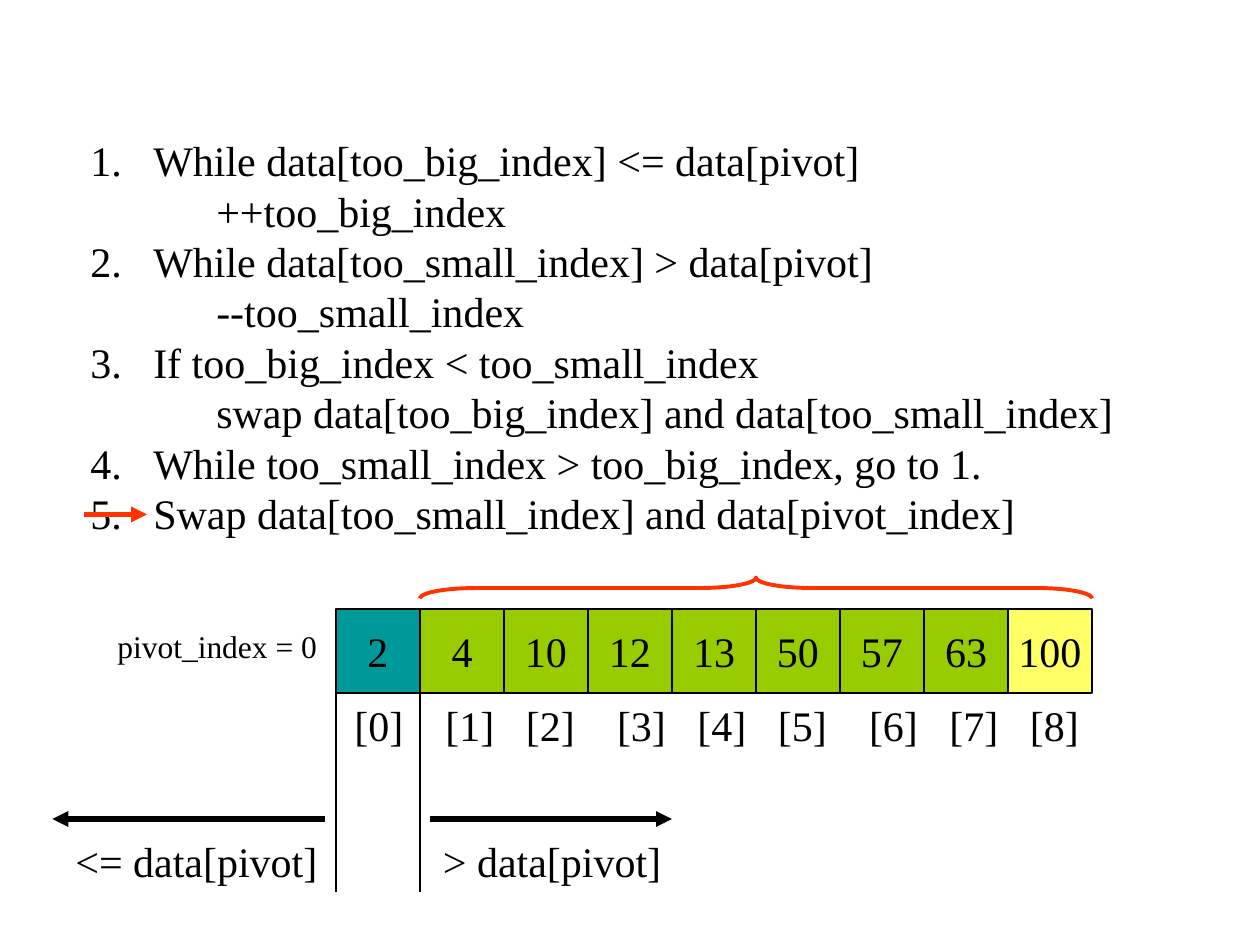
"""Builds a quicksort partition slide: the steps, the array and its split."""
from itertools import accumulate

from lxml import etree
from pptx import Presentation
from pptx.dml.color import RGBColor
from pptx.enum.shapes import MSO_CONNECTOR, MSO_SHAPE
from pptx.enum.text import MSO_ANCHOR, MSO_AUTO_SIZE, PP_ALIGN
from pptx.oxml.ns import qn
from pptx.util import Pt

STRAIGHT = MSO_CONNECTOR.STRAIGHT
RECTANGLE = MSO_SHAPE.RECTANGLE
BRACE = MSO_SHAPE.LEFT_BRACE
MIDDLE = MSO_ANCHOR.MIDDLE
CENTER = PP_ALIGN.CENTER
GROW = MSO_AUTO_SIZE.SHAPE_TO_FIT_TEXT

COLORS = {"ink": "000000", "accent": "FF3300", "pivot": "009999",
          "sorted": "99CC00", "last": "FFFF66"}
FONT = "Times New Roman"
LEADING = 1.2
CELL, ARRAY_LEFT, ARRAY_TOP = 48, 192, 348
VALUES = [2, 4, 10, 12, 13, 50, 57, 63, 100]
LABEL_GAPS = [52, 46, 52, 46, 46, 52, 46, 46]
STEPS = [
    (0, "While data[too_big_index] <= data[pivot]"),
    (1, "++too_big_index"),
    (0, "While data[too_small_index] > data[pivot]"),
    (1, "--too_small_index"),
    (0, "If too_big_index < too_small_index"),
    (1, "swap data[too_big_index] and data[too_small_index]"),
    (0, "While too_small_index > too_big_index, go to 1."),
    (0, "Swap data[too_small_index] and data[pivot_index]"),
]


def color(name):
    """Return the named colour."""
    return RGBColor.from_string(COLORS[name])


def apply(target, **values):
    """Set every given attribute on the target."""
    for name, value in values.items():
        setattr(target, name, value)


def write(para, text, size=24):
    """Put text in a paragraph in the slide's font."""
    para.line_spacing = Pt(size * LEADING)
    span = para.add_run()
    span.text = text
    apply(span.font, name=FONT, size=Pt(size))
    span.font.color.rgb = color("ink")


def add_box(slide, left, top, width, height):
    """Add a text box of fixed width that grows with its text."""
    box = slide.shapes.add_textbox(Pt(left), Pt(top), Pt(width), Pt(height))
    apply(box.text_frame, word_wrap=True, auto_size=GROW)
    return box.text_frame


def add_label(slide, place, text, size=24):
    """Add a one-line label and return its paragraph."""
    para = add_box(slide, *place).paragraphs[0]
    write(para, text, size)
    return para


def add_steps(slide):
    """Add the numbered steps with their indented actions."""
    frame = add_box(slide, 44.5, 73.5, 671, 324)
    for number, (level, text) in enumerate(STEPS):
        para = frame.add_paragraph() if number else frame.paragraphs[0]
        para.level = level
        props = para._p.get_or_add_pPr()
        props.set("marL", str(Pt(36 * (level + 1))))
        props.set("indent", str(0 if level else -Pt(36)))
        if level:
            etree.SubElement(props, qn("a:buNone"))
        else:
            etree.SubElement(props, qn("a:buAutoNum"), type="arabicPeriod")
        write(para, text)


def add_line(slide, start, end, width=0.75, ink="ink", arrow=False):
    """Add a straight line, with an arrowhead at its end if wanted."""
    points = [Pt(value) for value in (*start, *end)]
    line = slide.shapes.add_connector(STRAIGHT, *points)
    line.line.color.rgb = color(ink)
    line.line.width = Pt(width)
    if arrow:
        outline = line.line._get_or_add_ln()
        etree.SubElement(outline, qn("a:tailEnd"), type="triangle")
    etree.SubElement(line._element.spPr, qn("a:effectLst"))


def add_cell(slide, index, value):
    """Add one array cell."""
    fill = {0: "pivot", len(VALUES) - 1: "last"}.get(index, "sorted")
    cell = slide.shapes.add_shape(
        RECTANGLE, Pt(ARRAY_LEFT + index * CELL), Pt(ARRAY_TOP), Pt(CELL), Pt(CELL))
    cell.shadow.inherit = False
    cell.fill.solid()
    cell.fill.fore_color.rgb = color(fill)
    cell.line.color.rgb = color("ink")
    cell.line.width = Pt(0.75)
    apply(cell.text_frame, word_wrap=False, vertical_anchor=MIDDLE)
    para = cell.text_frame.paragraphs[0]
    para.alignment = CENTER
    write(para, str(value))


def add_indexes(slide):
    """Add the row of index labels, spaced by tab stops."""
    text = "\t".join(f"[{index}]" for index in range(len(VALUES)))
    para = add_label(slide, (195.5, 396, 440, 36), text)
    tabs = etree.SubElement(para._p.get_or_add_pPr(), qn("a:tabLst"))
    for stop in accumulate(LABEL_GAPS):
        etree.SubElement(tabs, qn("a:tab"), pos=str(Pt(stop)), algn="l")


def add_brace(slide):
    """Add the brace above the cells that follow the pivot."""
    brace = slide.shapes.add_shape(BRACE, Pt(426), Pt(144), Pt(12), Pt(8 * CELL))
    brace.rotation = 90
    brace.adjustments[0] = 2.67
    brace.shadow.inherit = False
    brace.fill.background()
    brace.line.color.rgb = color("accent")
    brace.line.width = Pt(2.25)


def main():
    """Build and save the slide."""
    deck = Presentation()
    apply(deck, slide_width=Pt(720), slide_height=Pt(540))
    slide = deck.slides.add_slide(deck.slide_layouts[6])
    add_steps(slide)
    add_line(slide, (48, 294), (84, 294), 3, "accent", True)
    for index, value in enumerate(VALUES):
        add_cell(slide, index, value)
    add_label(slide, (60, 355, 136, 28.8), "pivot_index = 0", 18)
    add_indexes(slide)
    add_brace(slide)
    for side in (ARRAY_LEFT, ARRAY_LEFT + CELL):
        add_line(slide, (side, ARRAY_TOP), (side, 510))
    for start, end in ((246, 384), (186, 30)):
        add_line(slide, (start, 468), (end, 468), 3, arrow=True)
    add_label(slide, (246, 474, 146, 36), "> data[pivot]")
    add_label(slide, (36, 474, 160, 36), "<= data[pivot]")
    deck.save("out.pptx")


if __name__ == "__main__":
    main()
